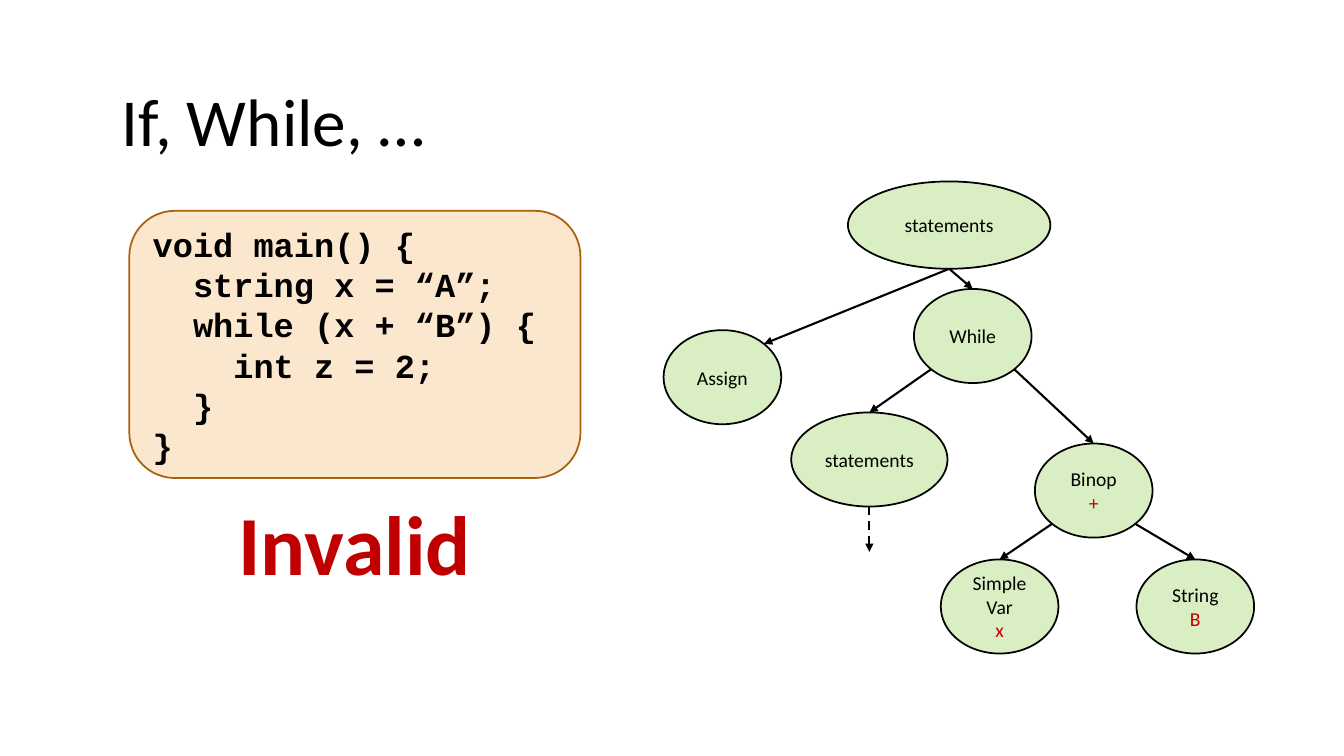
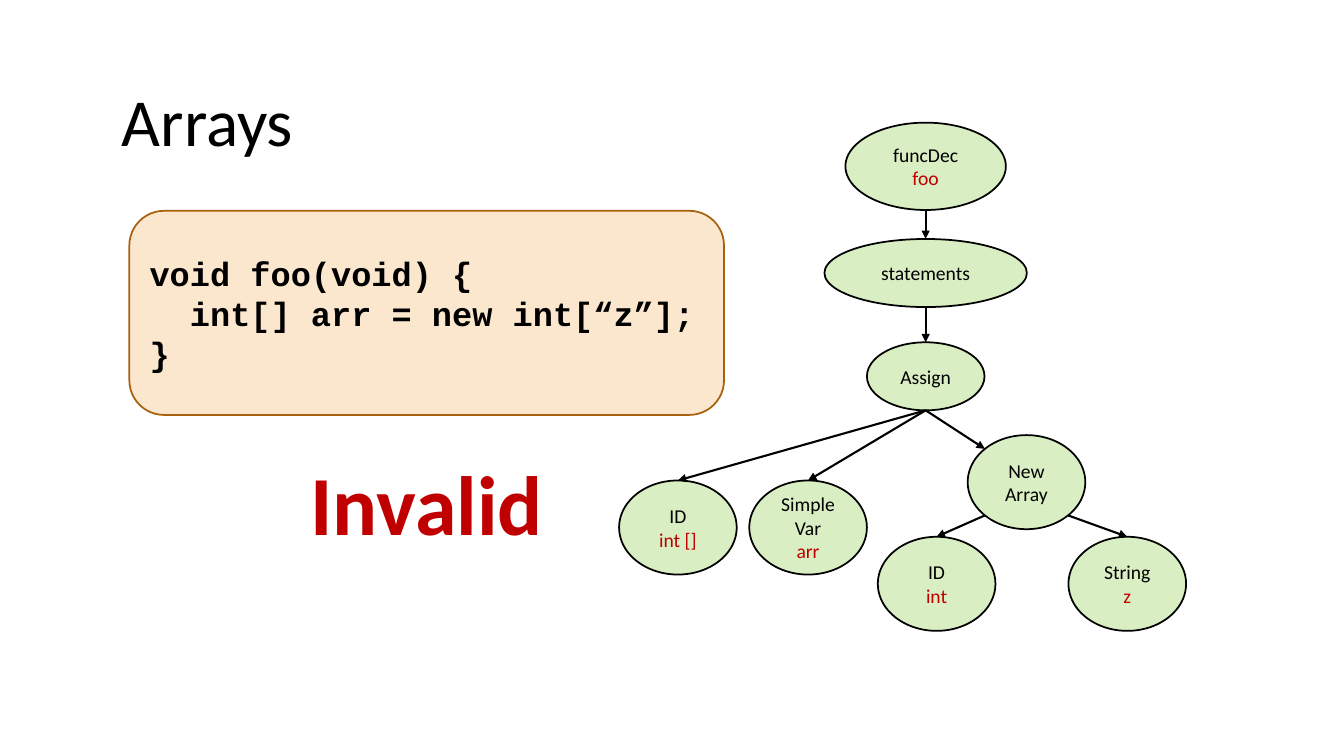
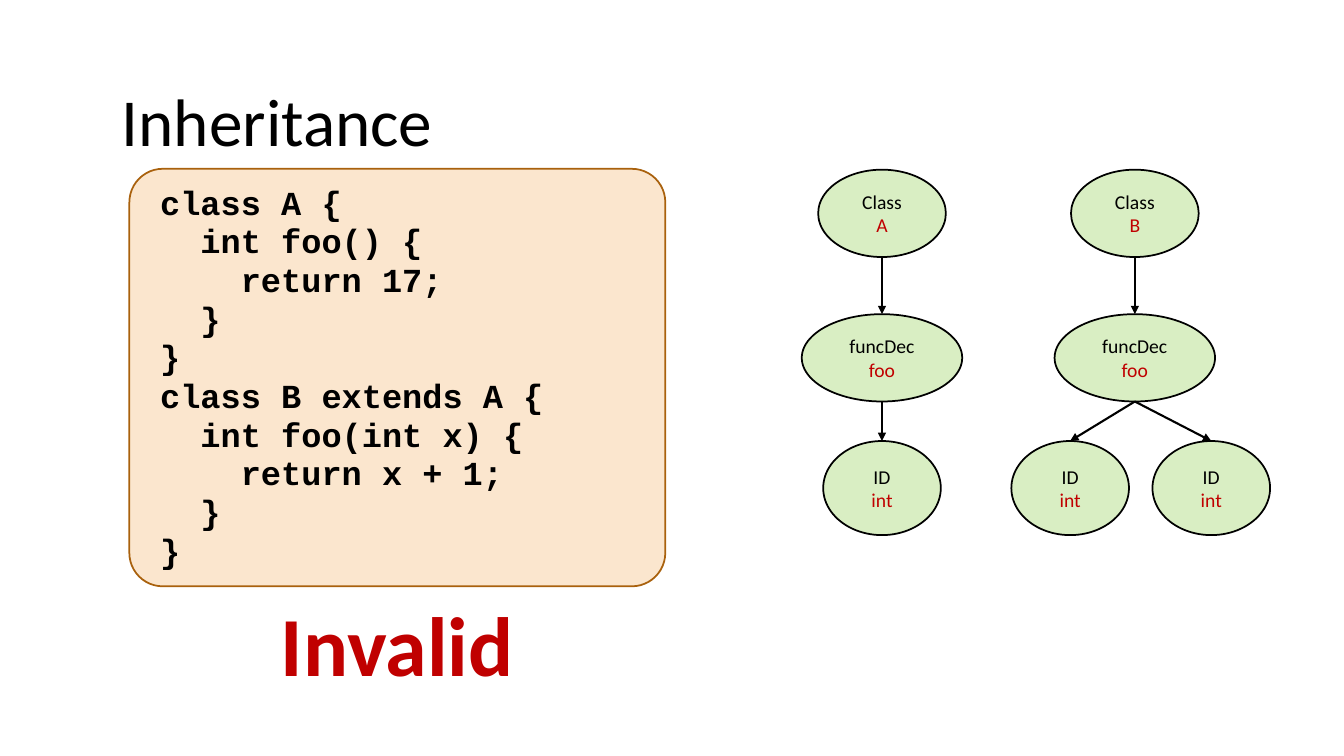
from dataclasses import dataclass
from math import hypot

from lxml.etree import SubElement
from pptx import Presentation
from pptx.dml.color import RGBColor
from pptx.enum.dml import MSO_LINE
from pptx.enum.shapes import MSO_CONNECTOR, MSO_SHAPE
from pptx.enum.text import MSO_ANCHOR, PP_ALIGN
from pptx.oxml.ns import qn
from pptx.util import Inches, Pt


@dataclass(frozen=True)
class Theme:
    ink: str = "000000"
    accent: str = "C00000"
    code_fill: str = "FBE6CE"
    code_line: str = "A9610D"
    node_fill: str = "92D050"
    node_opacity: int = 34000
    body_font: str = "Calibri"
    code_font: str = "Courier New"
    title_size: int = 48
    verdict_size: int = 60
    code_size: int = 24
    node_size: int = 14
    outline: float = 1.25
    arrow: float = 1.5


COLUMNS, ROWS = 16, 9
CODE_LEFT = 1.54
VERDICT_SIZE = (3.67, 1.33)

LEAF = (1.4, 1.12)
INNER = (1.86, 1.12)
FLAT = (1.4, 0.81)
CLASS = (1.52, 1.04)
FUNCTION = (1.91, 1.04)
BLOCK = (2.41, 1.04)
FLAT_BLOCK = (2.41, 0.81)

TOP, BOTTOM = (0, -1), (0, 1)
TOP_LEFT, TOP_RIGHT = (-1, -1), (1, -1)
BOTTOM_LEFT, BOTTOM_RIGHT = (-1, 1), (1, 1)


@dataclass(frozen=True)
class Node:
    center: tuple
    size: tuple

    def site(self, direction):
        reach = 2 * hypot(*direction)
        return tuple(c + s * d / reach
                     for c, s, d in zip(self.center, self.size, direction))


class Deck:
    def __init__(self, theme):
        self.theme = theme
        self.presentation = Presentation()
        self.presentation.slide_width = Inches(13.33)
        self.presentation.slide_height = Inches(7.5)
        self.slide = None

    def x(self, columns):
        return round(self.presentation.slide_width * columns / COLUMNS)

    def y(self, rows):
        return round(self.presentation.slide_height * rows / ROWS)

    def box(self, left, top, width, height):
        return self.x(left), self.y(top), self.x(width), self.y(height)

    def format(self, paragraph, size, color, font=None, bold=False,
               align=PP_ALIGN.LEFT):
        paragraph.alignment = align
        for run in paragraph.runs:
            run.font.name = font or self.theme.body_font
            run.font.size = Pt(size)
            run.font.bold = bold
            run.font.color.rgb = RGBColor.from_string(color)

    def outlined(self, kind, box, fill, line):
        shape = self.slide.shapes.add_shape(kind, *self.box(*box))
        shape.shadow.inherit = False
        shape.fill.solid()
        shape.fill.fore_color.rgb = RGBColor.from_string(fill)
        shape.line.color.rgb = RGBColor.from_string(line)
        shape.line.width = Pt(self.theme.outline)
        shape.text_frame.vertical_anchor = MSO_ANCHOR.MIDDLE
        return shape

    def start(self, heading):
        layout = self.presentation.slide_layouts.get_by_name("Title Only")
        self.slide = self.presentation.slides.add_slide(layout)
        title = self.slide.shapes.title
        title.left, title.top, title.width, title.height = self.box(
            1.33, 0.88, 13.31, 1.09)
        title.text_frame.text = heading
        title.text_frame.vertical_anchor = MSO_ANCHOR.MIDDLE
        self.format(title.text_frame.paragraphs[0], self.theme.title_size,
                    self.theme.ink)

    def code(self, lines, top, width, height, verdict_gap, corner=0.17,
             inset=0.12, spacing=1.0):
        theme = self.theme
        panel = self.outlined(MSO_SHAPE.ROUNDED_RECTANGLE,
                              (CODE_LEFT, top, width, height),
                              theme.code_fill, theme.code_line)
        panel.adjustments[0] = corner
        panel.text_frame.margin_left = self.x(inset)
        panel.text_frame.word_wrap = True
        panel.text_frame.text = "\n".join(lines)
        for paragraph in panel.text_frame.paragraphs:
            paragraph.line_spacing = spacing
            self.format(paragraph, theme.code_size, theme.ink,
                        theme.code_font, bold=True)
        self.verdict(CODE_LEFT + width / 2, top + height + verdict_gap)

    def verdict(self, center, top):
        width, height = VERDICT_SIZE
        verdict = self.slide.shapes.add_textbox(
            *self.box(center - width / 2, top, width, height))
        verdict.text_frame.word_wrap = True
        verdict.text_frame.text = "Invalid"
        self.format(verdict.text_frame.paragraphs[0], self.theme.verdict_size,
                    self.theme.accent, bold=True, align=PP_ALIGN.CENTER)

    def node(self, label, center, size=LEAF, value=None):
        theme = self.theme
        left, top = (c - s / 2 for c, s in zip(center, size))
        oval = self.outlined(MSO_SHAPE.OVAL, (left, top, *size),
                             theme.node_fill, theme.ink)
        tint = oval.element.spPr.find(qn("a:solidFill")).find(qn("a:srgbClr"))
        SubElement(tint, qn("a:alpha"), val=str(theme.node_opacity))
        oval.text_frame.word_wrap = False
        oval.text_frame.text = f"{label}\n{value}" if value else label
        paragraphs = oval.text_frame.paragraphs
        for paragraph in paragraphs:
            self.format(paragraph, theme.node_size, theme.ink,
                        align=PP_ALIGN.CENTER)
        if value:
            self.format(paragraphs[-1], theme.node_size, theme.accent,
                        align=PP_ALIGN.CENTER)
        return Node(center, size)

    def arrow(self, start, end, dashed=False):
        edge = self.slide.shapes.add_connector(
            MSO_CONNECTOR.STRAIGHT, self.x(start[0]), self.y(start[1]),
            self.x(end[0]), self.y(end[1]))
        edge.line.color.rgb = RGBColor.from_string(self.theme.ink)
        edge.line.width = Pt(self.theme.arrow)
        if dashed:
            edge.line.dash_style = MSO_LINE.DASH
        properties = edge.element.spPr
        SubElement(properties.find(qn("a:ln")), qn("a:tailEnd"),
                   type="triangle")
        SubElement(properties, qn("a:effectLst"))

    def link(self, parent, child, leave=BOTTOM, enter=TOP):
        self.arrow(parent.site(leave), child.site(enter))

    def branch(self, parent, left, right):
        self.link(parent, left, BOTTOM_LEFT)
        self.link(parent, right, BOTTOM_RIGHT)


def while_slide(deck):
    deck.start("If, While, …")
    deck.code(["void main() {",
               "  string x = “A”;",
               "  while (x + “B”) {",
               "    int z = 2;",
               "  }",
               "}"], top=2.51, width=5.37, height=3.18, verdict_gap=0.1)
    statements = deck.node("statements", (11.3, 2.68), BLOCK)
    assign = deck.node("Assign", (8.6, 4.49))
    loop = deck.node("While", (11.58, 4))
    body = deck.node("statements", (10.35, 5.47), INNER)
    binop = deck.node("Binop", (13.02, 5.84), value="+")
    variable = deck.node("Simple\nVar", (11.9, 7.22), value="x")
    string = deck.node("String", (14.23, 7.22), value="B")
    deck.link(statements, assign, enter=TOP_RIGHT)
    deck.link(statements, loop)
    deck.branch(loop, body, binop)
    deck.branch(binop, variable, string)
    column, row = body.site(BOTTOM)
    deck.arrow((column, row), (column, row + 0.54), dashed=True)


def arrays_slide(deck):
    deck.start("Arrays")
    deck.code(["void foo(void) {",
               "  int[] arr = new int[“z”];",
               "}"], top=2.51, width=7.08, height=2.43, verdict_gap=0.37)
    trunk, operand_row, argument_row = 11.02, 6.28, 6.95
    function = deck.node("funcDec", (trunk, 1.98), FUNCTION, "foo")
    statements = deck.node("statements", (trunk, 3.25), FLAT_BLOCK)
    assign = deck.node("Assign", (trunk, 4.48), FLAT)
    declared = deck.node("ID", (8.07, operand_row), value="int []")
    variable = deck.node("Simple\nVar", (9.62, operand_row), value="arr")
    new_array = deck.node("New\nArray", (12.22, 5.74))
    element = deck.node("ID", (11.15, argument_row), value="int")
    length = deck.node("String", (13.42, argument_row), value="z")
    deck.link(function, statements)
    deck.link(statements, assign)
    deck.link(assign, declared)
    deck.link(assign, variable)
    deck.link(assign, new_array, enter=TOP_LEFT)
    deck.branch(new_array, element, length)


def inheritance_slide(deck):
    deck.start("Inheritance")
    deck.code(["class A {",
               "  int foo() {",
               "    return 17;",
               "  }",
               "}",
               "class B extends A {",
               "  int foo(int x) {",
               "    return x + 1;",
               "  }",
               "}"], top=2.01, width=6.38, height=4.97, verdict_gap=0.01,
              corner=0.08, inset=0.25, spacing=0.96)
    for name, trunk, id_columns in [("A", 10.5, [10.5]),
                                    ("B", 13.51, [12.74, 14.42])]:
        owner = deck.node("Class", (trunk, 2.54), CLASS, name)
        function = deck.node("funcDec", (trunk, 4.26), FUNCTION, "foo")
        deck.link(owner, function)
        for column in id_columns:
            deck.link(function, deck.node("ID", (column, 5.81), value="int"))


def main():
    deck = Deck(Theme())
    for build in (while_slide, arrays_slide, inheritance_slide):
        build(deck)
    deck.presentation.save("out.pptx")


if __name__ == "__main__":
    main()
